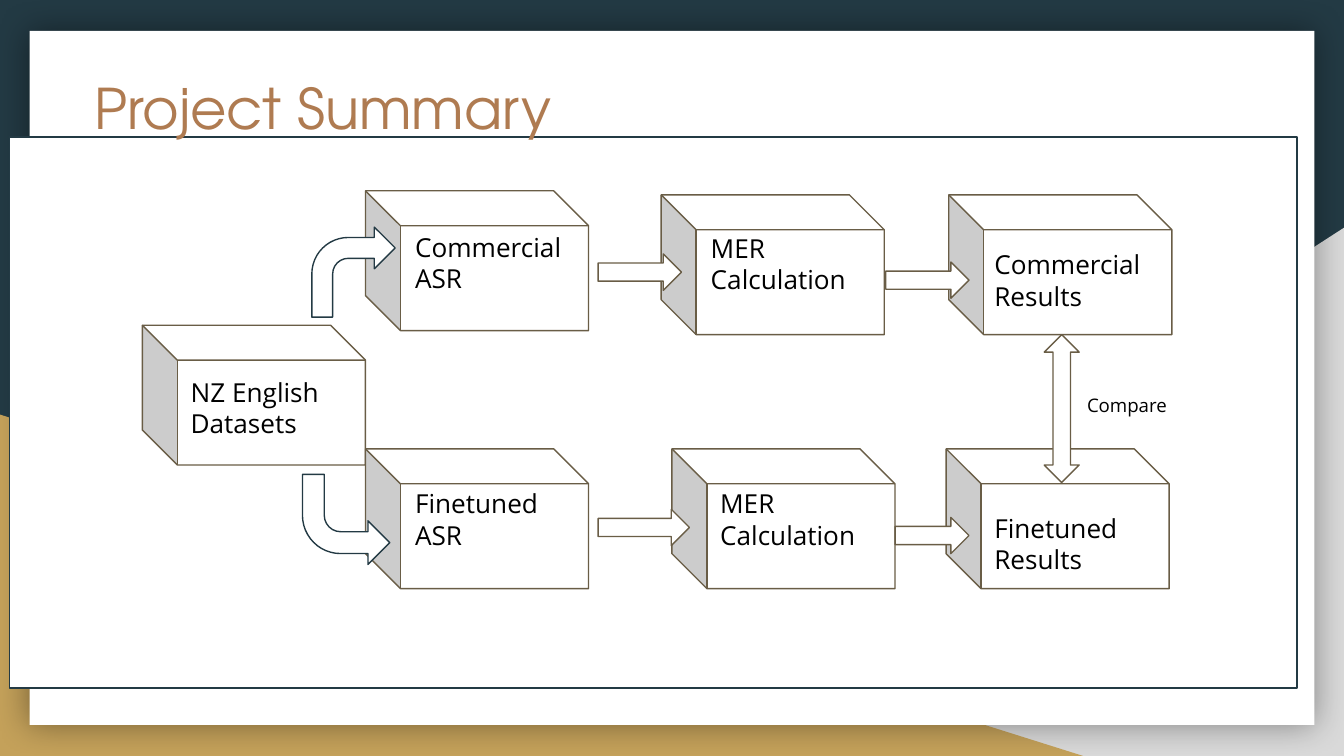
import pptx
import pptx.util
import pptx.dml.color
import pptx.enum.shapes
import pptx.enum.text
import pptx.oxml.ns
import lxml.etree

Inches = pptx.util.Inches
Pt = pptx.util.Pt
RGBColor = pptx.dml.color.RGBColor
SHAPE = pptx.enum.shapes.MSO_SHAPE

NAVY = RGBColor(0x23, 0x3A, 0x44)
GREY = RGBColor(0xD9, 0xD9, 0xD9)
GOLD = RGBColor(0xC4, 0xA1, 0x5A)
COPPER = RGBColor(0xAF, 0x7B, 0x51)
BROWN = RGBColor(0x69, 0x5D, 0x46)
WHITE = RGBColor(0xFF, 0xFF, 0xFF)
BLACK = RGBColor(0, 0, 0)

SLIDE_WIDTH = 10
SLIDE_HEIGHT = SLIDE_WIDTH * 9 / 16
CUBE_SIZE = (1.66, 1.04)
LABEL_SIZE = (1.4, 0.67)
ARROW_HEIGHT = 0.27

STAGES = [
    ("Commercial ASR", 2.65, 0.4, 0.27, 0.2),
    ("MER Calculation", 4.85, 0.43, 0.27, 0.18),
    ("Commercial Results", 6.99, 0.43, 0.24, 0.3),
    ("NZ English Datasets", 0.99, 1.4, 0.26, 0.28),
    ("Finetuned ASR", 2.65, 2.32, 0.27, 0.19),
    ("MER Calculation", 4.93, 2.32, 0.26, 0.19),
    ("Finetuned Results", 6.97, 2.32, 0.26, 0.37),
]
FLOWS = [(4.38, 0.87, 0.62), (4.38, 2.77, 0.68), (6.52, 0.93, 0.62), (6.59, 2.83, 0.55)]


def add_figure(slide, preset, box, fill=WHITE, line=None, flip=False, rotation=0):
    figure = slide.shapes.add_shape(preset, *map(Inches, box))
    figure.shadow.inherit = False
    figure.fill.solid()
    figure.fill.fore_color.rgb = fill
    if line is None:
        figure.line.fill.background()
    else:
        figure.line.color.rgb = line
        figure.line.width = Pt(0.75)
    figure.rotation = rotation
    if flip:
        figure._element.spPr.get_or_add_xfrm().set("flipH", "1")
    return figure


def write_text(holder, text, size, font="Open Sans", color=BLACK):
    frame = holder.text_frame
    frame.word_wrap = True
    frame.vertical_anchor = pptx.enum.text.MSO_ANCHOR.TOP
    frame.margin_left = frame.margin_right = Inches(0.1)
    frame.margin_top = frame.margin_bottom = Inches(0.1)
    paragraph = frame.paragraphs[0]
    paragraph.alignment = pptx.enum.text.PP_ALIGN.LEFT
    run = paragraph.add_run()
    run.text = text
    run.font.size = Pt(size)
    run.font.name = font
    run.font.color.rgb = color


def add_label(slide, text, box, size=14):
    label = slide.shapes.add_textbox(*map(Inches, box))
    write_text(label, text, size)


def add_soft_shadow(figure):
    effects = figure._element.spPr.find(pptx.oxml.ns.qn("a:effectLst"))
    effects.append(lxml.etree.fromstring(
        '<a:outerShdw xmlns:a="http://schemas.openxmlformats.org/drawingml/2006/main" '
        f'blurRad="{Pt(18)}" dist="0" dir="0" algn="ctr" rotWithShape="0">'
        '<a:srgbClr val="000000"><a:alpha val="40000"/></a:srgbClr></a:outerShdw>'))


def add_backdrop(slide, box):
    left, top, width, height = box
    slide.background.fill.solid()
    slide.background.fill.fore_color.rgb = NAVY
    right, bottom = left + width, top + height
    add_figure(slide, SHAPE.RIGHT_TRIANGLE, (right - 6.08, bottom - 3.93, 6.08, 3.93), GREY, flip=True)
    add_figure(slide, SHAPE.RIGHT_TRIANGLE, (left, bottom - 2.54, 8.06, 2.54), GOLD)
    page = add_figure(slide, SHAPE.RECTANGLE, (left + 0.22, top + 0.23, width - 0.44, height - 0.46))
    add_soft_shadow(page)


def place_title(slide, box):
    title = slide.shapes.title
    title.left, title.top, title.width, title.height = map(Inches, box)
    write_text(title, "Project Summary", 30, font="TeX Gyre Adventor", color=COPPER)
    slide.shapes._spTree.append(title._element)


def add_stage(slide, text, box, label_offset):
    left, top = box[:2]
    add_figure(slide, SHAPE.CUBE, box, line=BROWN, flip=True)
    add_label(slide, text, (left + label_offset[0], top + label_offset[1], *LABEL_SIZE))


def add_pipeline(slide, box):
    left, top = box[:2]
    for text, x, y, label_x, label_y in STAGES:
        add_stage(slide, text, (left + x, top + y, *CUBE_SIZE), (label_x, label_y))
    add_figure(slide, SHAPE.LEFT_RIGHT_ARROW, (left + 7.28, top + 1.89, 1.1, 0.26),
               line=BROWN, rotation=270)
    add_label(slide, "Compare", (left + 7.92, top + 1.83, 1.07, 0.37), size=10)
    for x, y, width in FLOWS:
        add_figure(slide, SHAPE.RIGHT_ARROW, (left + x, top + y, width, ARROW_HEIGHT), line=BROWN)
    add_figure(slide, SHAPE.BENT_ARROW, (left + 2.25, top + 0.67, 0.62, 0.67), line=NAVY)
    add_figure(slide, SHAPE.BENT_ARROW, (left + 2.18, top + 2.51, 0.65, 0.67),
               line=NAVY, flip=True, rotation=180)


def main():
    deck = pptx.Presentation()
    deck.slide_width, deck.slide_height = Inches(SLIDE_WIDTH), Inches(SLIDE_HEIGHT)
    slide = deck.slides.add_slide(deck.slide_layouts.get_by_name("Title Only"))
    panel = (0.07, 1.02, 9.58, 4.1)
    add_backdrop(slide, (0, 0, SLIDE_WIDTH, SLIDE_HEIGHT))
    add_figure(slide, SHAPE.RECTANGLE, panel, line=NAVY)
    place_title(slide, (0.6, 0.45, 8.21, 1.04))
    add_pipeline(slide, panel)
    deck.save("out.pptx")


if __name__ == "__main__":
    main()
